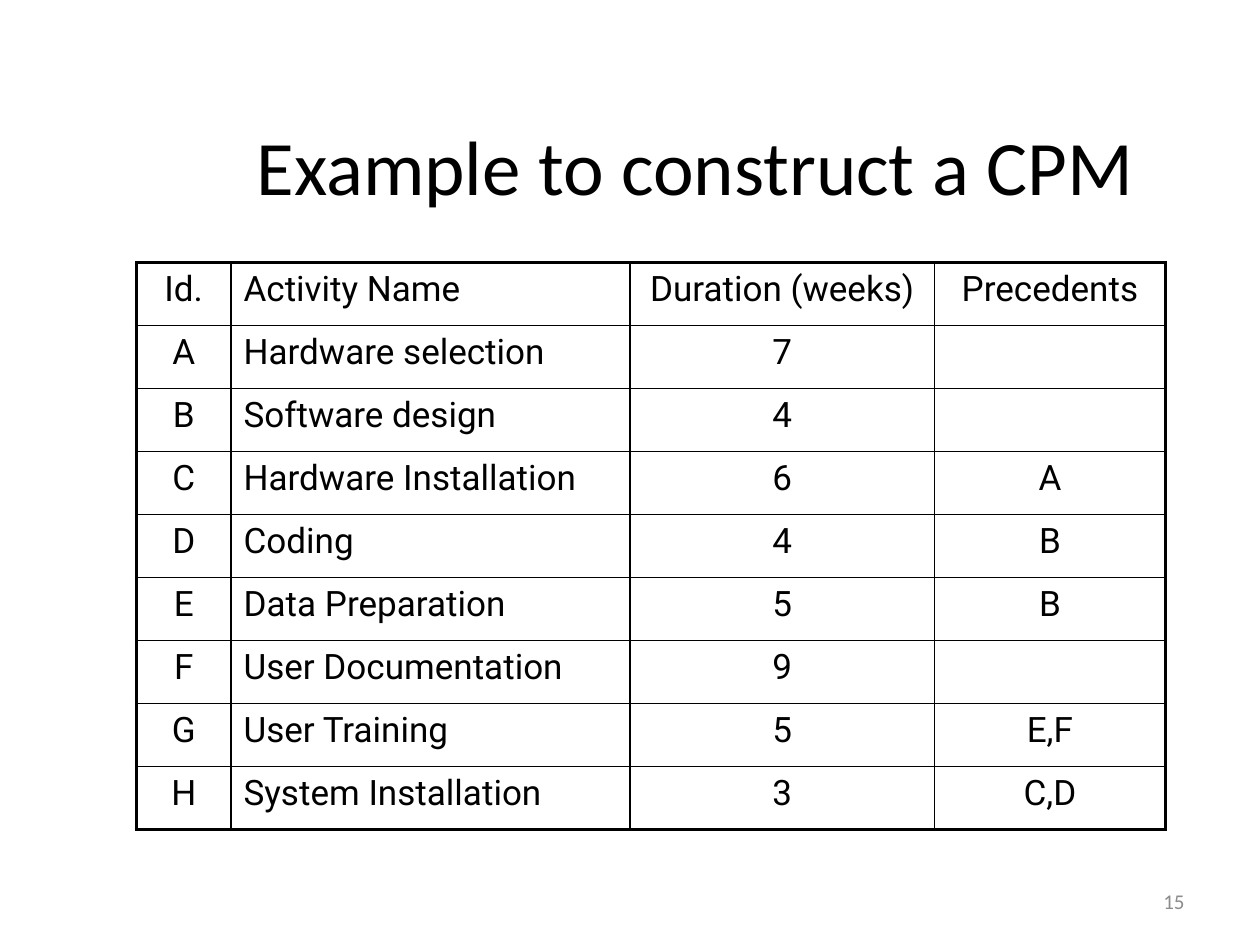
from lxml import etree
from pptx import Presentation
from pptx.dml.color import RGBColor
from pptx.enum import text as t
from pptx.oxml import ns
from pptx.util import Pt

BLACK = RGBColor(0, 0, 0)
GRAY = RGBColor(0x8C, 0x8C, 0x8C)
LEFT, MID, RIGHT = t.PP_ALIGN.LEFT, t.PP_ALIGN.CENTER, t.PP_ALIGN.RIGHT


def style(par, align, name, size, color):
    par.alignment = align
    par.font.color.rgb = color
    for key, val in {"name": name, "size": Pt(size)}.items():
        setattr(par.font, key, val)


def edge(cell, side, width):
    line = etree.SubElement(cell._tc.get_or_add_tcPr(), ns.qn("a:ln" + side), w=str(Pt(width)))
    fill = etree.SubElement(line, ns.qn("a:solidFill"))
    etree.SubElement(fill, ns.qn("a:srgbClr"), val=str(BLACK))


deck = Presentation()
deck.slide_width, deck.slide_height = Pt(720), Pt(540)
slide = deck.slides.add_slide(deck.slide_layouts[5])

title = slide.shapes.title
place = {"left": 90.72, "top": 48.96, "width": 613.44, "height": 90}
for key, val in place.items():
    setattr(title, key, Pt(val))
title.text_frame.text = "Example to construct a CPM"
title.text_frame.vertical_anchor = t.MSO_ANCHOR.MIDDLE
style(title.text_frame.paragraphs[0], MID, "Calibri", 44, BLACK)

page = slide.shapes.add_textbox(Pt(516.24), Pt(500.4), Pt(167.76), Pt(28.8)).text_frame
page.text = "15"
for key, val in {"word_wrap": True, "vertical_anchor": t.MSO_ANCHOR.MIDDLE}.items():
    setattr(page, key, val)
style(page.paragraphs[0], RIGHT, "Calibri", 12, GRAY)

rows = [
    ("Id.", "Activity Name", "Duration (weeks)", "Precedents"),
    ("A", "Hardware selection", "7", ""),
    ("B", "Software design", "4", ""),
    ("C", "Hardware Installation", "6", "A"),
    ("D", "Coding", "4", "B"),
    ("E", "Data Preparation", "5", "B"),
    ("F", "User Documentation", "9", ""),
    ("G", "User Training", "5", "E,F"),
    ("H", "System Installation", "3", "C,D"),
]
wides = [54, 228, 174, 132]
high = 36
grid = slide.shapes.add_table(
    len(rows), len(wides), Pt(78), Pt(150), Pt(sum(wides)), Pt(high * len(rows))
).table
for key in ("first_row", "horz_banding"):
    setattr(grid, key, False)
for col, wide in zip(grid.columns, wides):
    col.width = Pt(wide)

for r, row in enumerate(rows):
    grid.rows[r].height = Pt(high)
    for c, word in enumerate(row):
        cell = grid.cell(r, c)
        cell.text = word
        style(cell.text_frame.paragraphs[0], LEFT if c == 1 else MID, "Roboto", 20, BLACK)
        outer = {"L": c == 0, "R": c == len(wides) - 1, "T": r == 0, "B": r == len(rows) - 1}
        for side, thick in outer.items():
            edge(cell, side, 2.25 if thick else 1)
        cell.fill.background()

deck.save("out.pptx")
